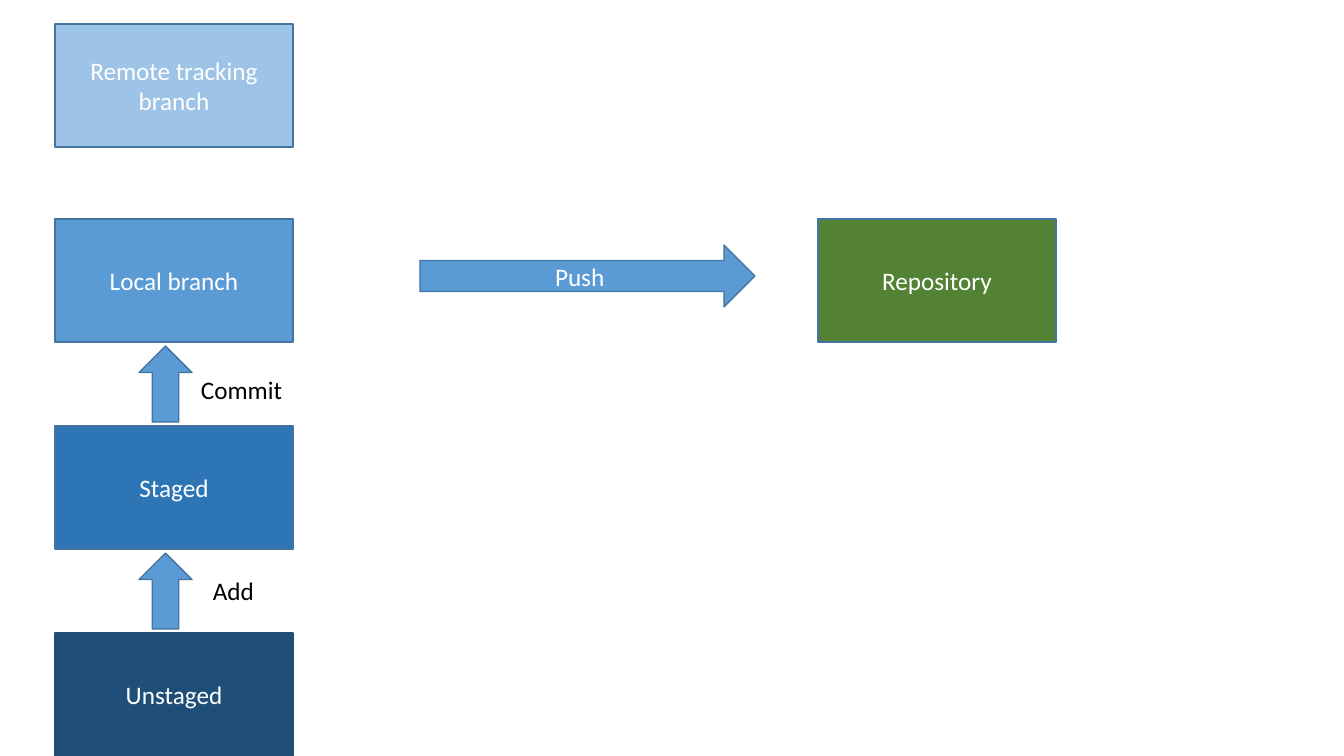
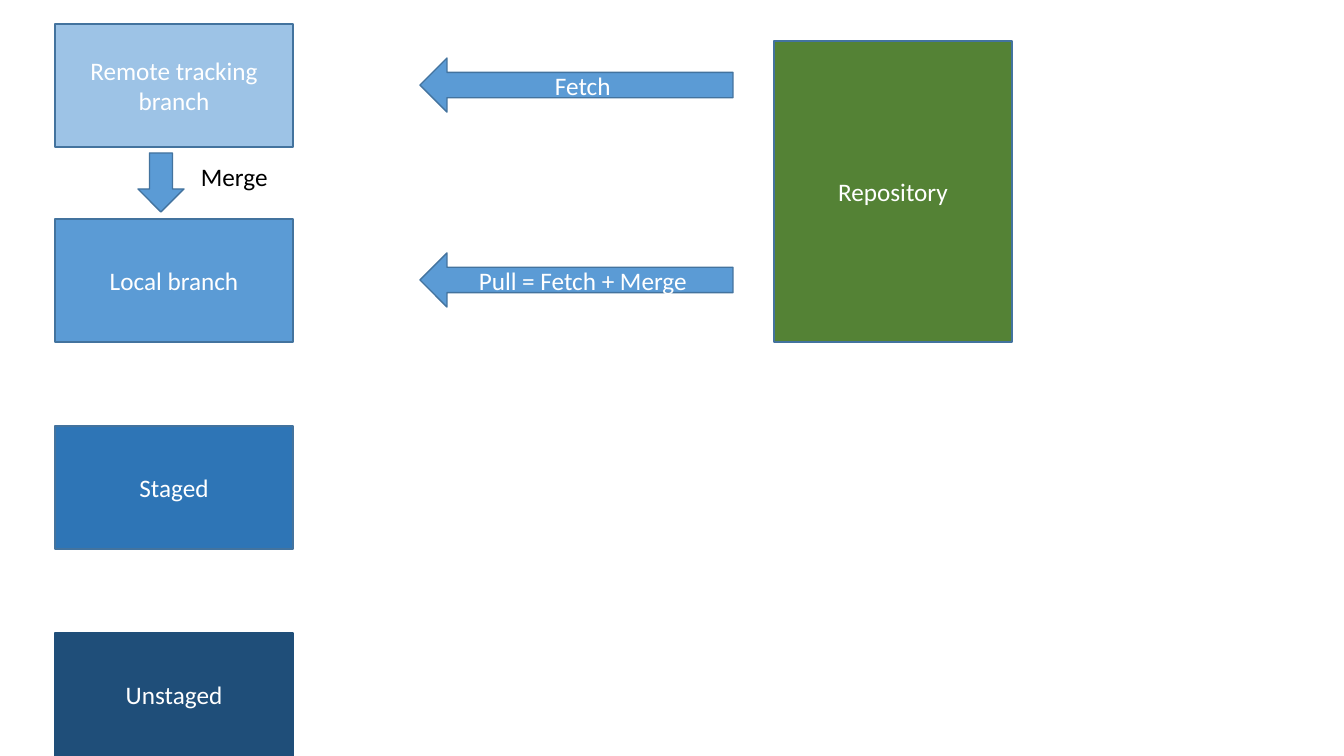
"""Build two slides on how changes move between a local branch and a repository."""
import dataclasses

import pptx
import pptx.dml.color
import pptx.enum.shapes
import pptx.enum.text
import pptx.util

PX = pptx.util.Inches(1) / 100.8
SHAPE = pptx.enum.shapes.MSO_SHAPE


@dataclasses.dataclass(frozen=True)
class Theme:
    font: str = "Calibri"
    size: int = 18
    remote: str = "9DC3E6"
    local: str = "5B9BD5"
    staged: str = "2E75B6"
    unstaged: str = "1F4E79"
    repository: str = "548235"
    outline: str = "43739E"
    light: str = "FFFFFF"
    dark: str = "000000"


theme = Theme()


def write(box, text, color, align):
    box.text_frame.text = text
    para = box.text_frame.paragraphs[0]
    para.alignment = align
    for span in para.runs:
        span.font.name = theme.font
        span.font.size = pptx.util.Pt(theme.size)
        span.font.color.rgb = pptx.dml.color.RGBColor.from_string(color)


def add_block(page, kind, bounds, text="", fill=theme.local, outline=theme.outline):
    block = page.shapes.add_shape(kind, *(round(length * PX) for length in bounds))
    block.shadow.inherit = False
    block.fill.solid()
    block.fill.fore_color.rgb = pptx.dml.color.RGBColor.from_string(fill)
    block.line.color.rgb = pptx.dml.color.RGBColor.from_string(outline)
    block.line.width = pptx.util.Pt(1)
    block.text_frame.vertical_anchor = pptx.enum.text.MSO_ANCHOR.MIDDLE
    write(block, text, theme.light, pptx.enum.text.PP_ALIGN.CENTER)
    return block


deck = pptx.Presentation()
deck.slide_width = round(1344 * PX)
deck.slide_height = round(756 * PX)

LEFT, WIDTH, HEIGHT = 55, 238, 123
LOCAL_TOP, STEP = 219, 207
stages = [
    ("Remote tracking branch", 24, theme.remote, theme.outline),
    ("Local branch", LOCAL_TOP, theme.local, theme.outline),
    ("Staged", LOCAL_TOP + STEP, theme.staged, theme.outline),
    ("Unstaged", LOCAL_TOP + 2 * STEP, theme.unstaged, theme.unstaged),
]
slides = [
    {
        "repository": (818, LOCAL_TOP, WIDTH, HEIGHT),
        "transfers": [("Push", SHAPE.RIGHT_ARROW, (420, 245, 335, 62), 0.5)],
        "steps": [
            ("Add", SHAPE.UP_ARROW, (139, 553, 53, 76), (203, 570, 61, 40)),
            ("Commit", SHAPE.UP_ARROW, (139, 346, 53, 76), (191, 369, 103, 40)),
        ],
    },
    {
        "repository": (774, 41, WIDTH, 301),
        "transfers": [
            ("Fetch", SHAPE.LEFT_ARROW, (420, 58, 313, 54), 0.47),
            ("Pull = Fetch + Merge", SHAPE.LEFT_ARROW, (420, 253, 313, 54), 0.47),
        ],
        "steps": [("Merge", SHAPE.DOWN_ARROW, (138, 153, 46, 59), (191, 156, 88, 40))],
    },
]

for content in slides:
    page = deck.slides.add_slide(deck.slide_layouts.get_by_name("Blank"))
    for name, top, fill, outline in stages:
        add_block(page, SHAPE.RECTANGLE, (LEFT, top, WIDTH, HEIGHT), name, fill, outline)
    add_block(page, SHAPE.RECTANGLE, content["repository"], "Repository", theme.repository)
    for name, kind, bounds, shaft in content["transfers"]:
        arrow = add_block(page, kind, bounds, name)
        arrow.adjustments[0] = shaft
    for name, kind, bounds, label_bounds in content["steps"]:
        add_block(page, kind, bounds)
        label = page.shapes.add_textbox(*(round(length * PX) for length in label_bounds))
        label.text_frame.word_wrap = False
        label.text_frame.auto_size = pptx.enum.text.MSO_AUTO_SIZE.SHAPE_TO_FIT_TEXT
        write(label, name, theme.dark, pptx.enum.text.PP_ALIGN.LEFT)

deck.save("out.pptx")
